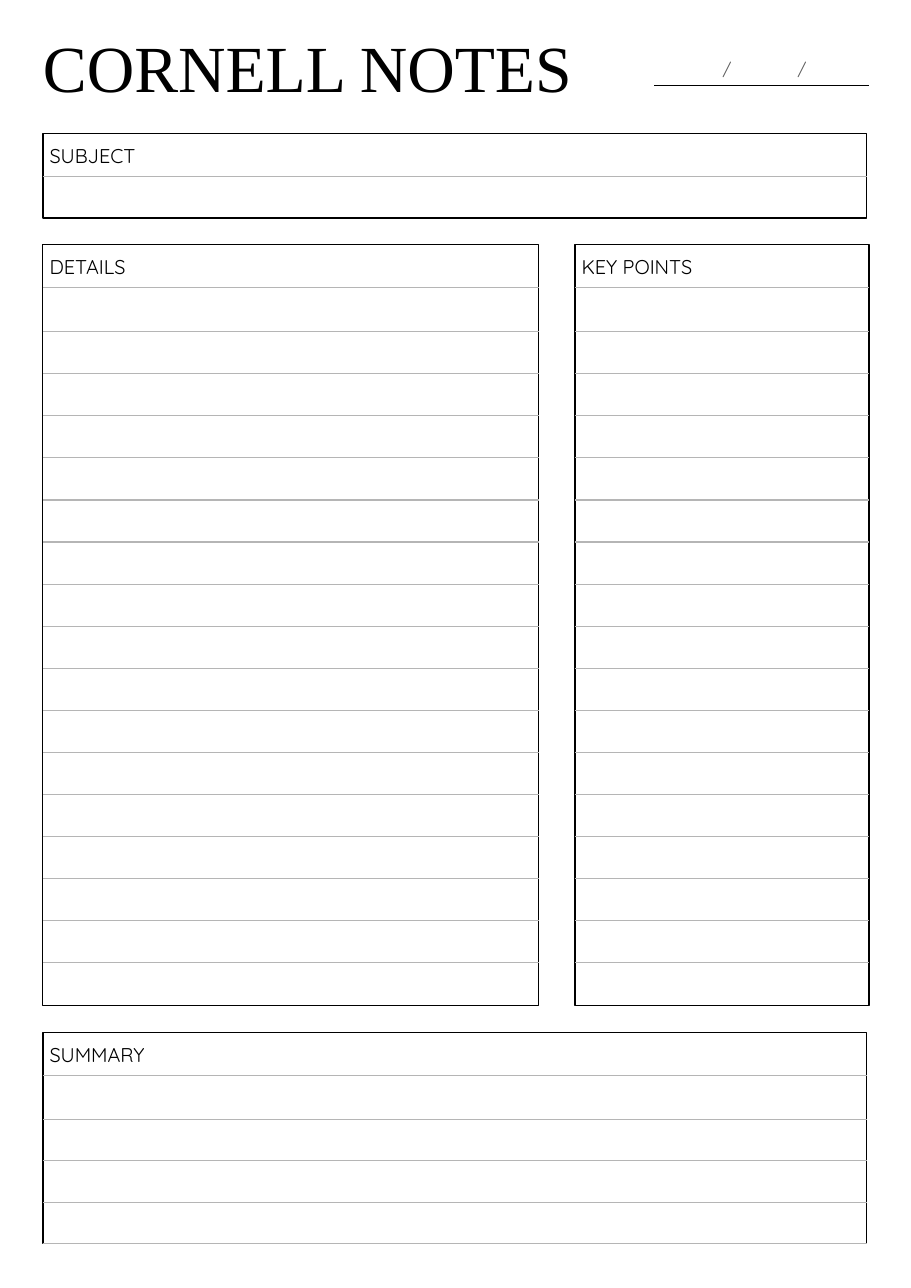
"""Build a Cornell notes page with ruled writing panels."""
from dataclasses import dataclass

from lxml.etree import SubElement
from pptx import Presentation
from pptx.dml.color import RGBColor
from pptx.enum.shapes import MSO_CONNECTOR, MSO_SHAPE
from pptx.enum.text import MSO_AUTO_SIZE, PP_ALIGN
from pptx.oxml.ns import qn
from pptx.shapes.shapetree import GroupShapes
from pptx.util import Inches, Pt

COLORS = {"ink": "000000", "rule": "B5B5B5", "slash": "595959"}
HEADING_FONT = "Times New Roman"
LABEL_FONT = "Quicksand"
LINE_WIDTH = Pt(0.75)
MARGIN = 0.39
LABEL_RULE = 0.39
FIRST_RULE = 0.79


@dataclass(frozen=True)
class Panel:
    label: str
    left: float
    top: float
    width: float
    height: float
    writing_rules: int = 0
    last_rule: float = 0

    def rule_offsets(self) -> list[float]:
        gaps = max(self.writing_rules - 1, 1)
        step = (self.last_rule - FIRST_RULE) / gaps
        return [LABEL_RULE] + [FIRST_RULE + step * i for i in range(self.writing_rules)]


@dataclass(frozen=True)
class Caption:
    text: str
    left: float
    top: float
    width: float
    height: float
    size: float
    font: str = LABEL_FONT
    color: str = "ink"
    align: PP_ALIGN = PP_ALIGN.LEFT


PANELS = [
    Panel("SUBJECT", MARGIN, 1.21, 7.48, 0.77),
    Panel("DETAILS", MARGIN, 2.22, 4.5, 6.91, 16, 6.52),
    Panel("KEY POINTS", 5.22, 2.22, 2.67, 6.91, 16, 6.52),
    Panel("SUMMARY", MARGIN, 9.37, 7.48, 1.92, 4, 1.92),
]
HEADING = Caption("CORNELL NOTES", MARGIN, 0.24, 5.23, 0.72, 43, HEADING_FONT)
DATE_SLASHES = [
    Caption("/", left, 0.53, 0.2, 0.19, 11, color="slash", align=PP_ALIGN.CENTER)
    for left in (6.5, 7.18)
]


def rgb(name: str) -> RGBColor:
    return RGBColor.from_string(COLORS[name])


def draw_caption(shapes: GroupShapes, caption: Caption) -> None:
    box = shapes.add_textbox(Inches(caption.left), Inches(caption.top),
                             Inches(caption.width), Inches(caption.height))
    frame = box.text_frame
    frame.margin_left = frame.margin_right = frame.margin_top = frame.margin_bottom = 0
    frame.word_wrap = True
    frame.auto_size = MSO_AUTO_SIZE.SHAPE_TO_FIT_TEXT
    paragraph = frame.paragraphs[0]
    paragraph.alignment = caption.align
    run = paragraph.add_run()
    run.text = caption.text
    run.font.name = caption.font
    run.font.size = Pt(caption.size)
    run.font.color.rgb = rgb(caption.color)


def draw_rule(shapes: GroupShapes, left: float, right: float, y: float, color: str) -> None:
    rule = shapes.add_connector(MSO_CONNECTOR.STRAIGHT, Inches(left), Inches(y),
                                Inches(right), Inches(y))
    rule.line.color.rgb = rgb(color)
    rule.line.width = LINE_WIDTH
    SubElement(rule._element.spPr, qn("a:effectLst"))


def draw_panel(shapes: GroupShapes, panel: Panel) -> None:
    frame = shapes.add_shape(MSO_SHAPE.RECTANGLE, Inches(panel.left), Inches(panel.top),
                             Inches(panel.width), Inches(panel.height))
    frame.shadow.inherit = False
    frame.fill.background()
    frame.line.color.rgb = rgb("ink")
    frame.line.width = LINE_WIDTH
    for offset in panel.rule_offsets():
        draw_rule(shapes, panel.left, panel.left + panel.width, panel.top + offset, "rule")
    draw_caption(shapes, Caption(panel.label, panel.left + 0.06, panel.top + 0.09,
                                 panel.width - 0.11, 0.22, 13))


def main() -> None:
    deck = Presentation()
    deck.slide_width, deck.slide_height = Inches(8.27), Inches(11.69)
    page = deck.slides.add_slide(deck.slide_layouts[6])
    draw_caption(page.shapes, HEADING)
    date_field = page.shapes.add_group_shape().shapes
    draw_rule(date_field, 5.94, 7.89, 0.78, "ink")
    for slash in DATE_SLASHES:
        draw_caption(date_field, slash)
    for panel in PANELS:
        draw_panel(page.shapes.add_group_shape().shapes, panel)
    deck.save("out.pptx")


if __name__ == "__main__":
    main()
